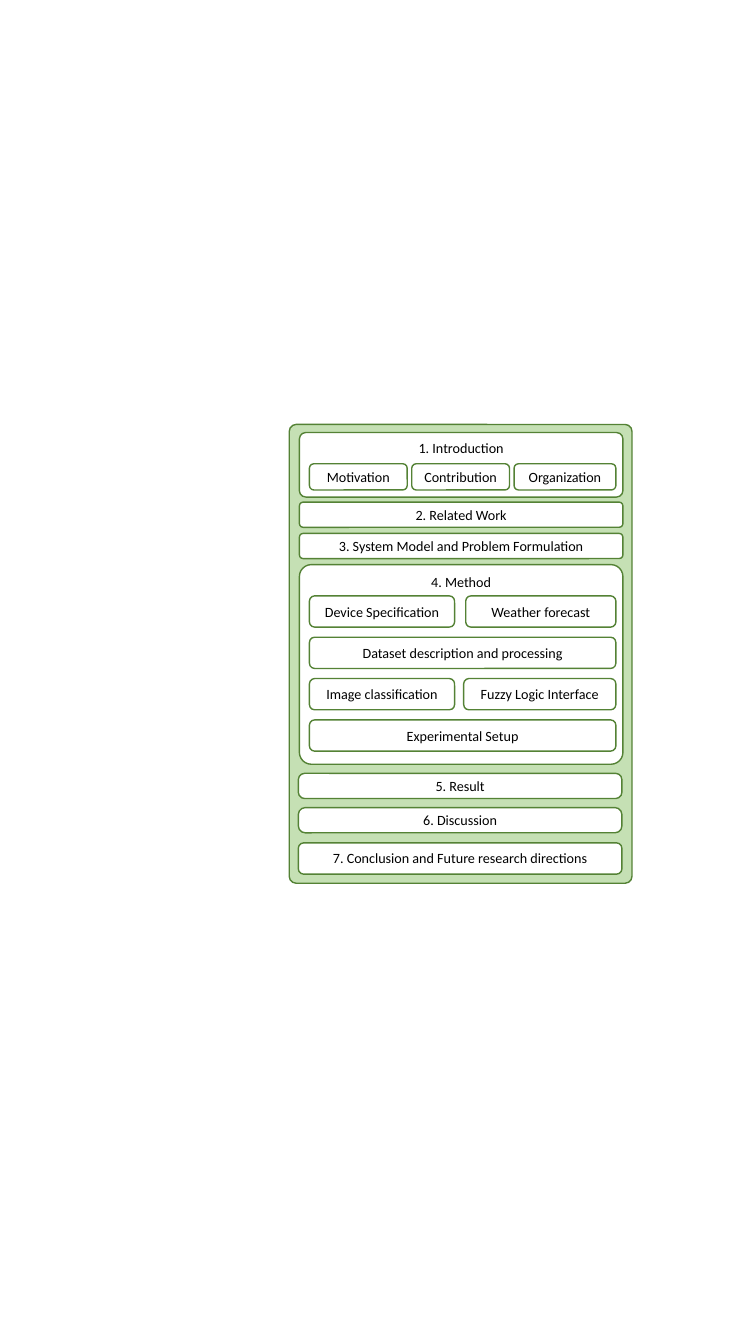
from dataclasses import dataclass, field

from pptx import Presentation, util as u
from pptx.dml.color import RGBColor
from pptx.enum import shapes, text

HEX = {"panel": "C5E0B4", "card": "FFFFFF", "edge": "548235", "ink": "000000"}
FONT, SIZE = "Calibri", 10.1

deck = Presentation()
deck.slide_width, deck.slide_height = u.Inches(7.5), u.Inches(13.33)
slide = deck.slides.add_slide(deck.slide_layouts[6])

# Grid: 750 columns by 1333 rows
COL, ROW = deck.slide_width / 750, deck.slide_height / 1333
LEFT, SPAN = 307, 304  # topics inside a section
ROUND = 0.167


@dataclass
class Topics:
    """Rows of topic boxes, each row given as its labels and widths."""
    top: int
    high: int
    rows: list[list[tuple[str, int]]]
    pitch: int = 0


@dataclass
class Section:
    label: str
    top: int
    high: int
    curve: float
    left: int = 297
    anchor: str = "MIDDLE"
    topics: list[Topics] = field(default_factory=list)


def write(shape, words: str, *, anchor: str = "MIDDLE", size: float = SIZE,
          font: str = FONT, ink: str = "ink") -> None:
    frame = shape.text_frame
    frame.word_wrap = True
    frame.vertical_anchor = text.MSO_ANCHOR[anchor]
    line = frame.paragraphs[0]
    line.alignment = text.PP_ALIGN.CENTER
    run = line.add_run()
    run.text = words
    run.font.name, run.font.size = font, u.Pt(size)
    run.font.color.rgb = RGBColor.from_string(HEX[ink])


def box(left: float, top: float, wide: float, high: float,
        curve: float = ROUND, fill: str = "card"):
    shape = slide.shapes.add_shape(
        shapes.MSO_SHAPE.ROUNDED_RECTANGLE, u.Emu(round(left * COL)),
        u.Emu(round(top * ROW)), u.Emu(round(wide * COL)), u.Emu(round(high * ROW)))
    shape.adjustments[0] = curve
    shape.shadow.inherit = False
    shape.fill.solid()
    shape.fill.fore_color.rgb = RGBColor.from_string(HEX[fill])
    shape.line.color.rgb = RGBColor.from_string(HEX["edge"])
    shape.line.width = u.Pt(1)
    return shape


def spread(group: Topics) -> None:
    """Set each row flush on both sides, with equal gaps."""
    for i, row in enumerate(group.rows):
        gap = (SPAN - sum(wide for _, wide in row)) / max(len(row) - 1, 1)
        left = LEFT
        for label, wide in row:
            write(box(left, group.top + i * group.pitch, wide, group.high), label)
            left += wide + gap


def draw(part: Section) -> None:
    card = box(part.left, part.top, 321, part.high, part.curve)
    write(card, part.label, anchor=part.anchor)
    for group in part.topics:
        spread(group)


# Contents of the paper
INTRO = Topics(460, 26, [
    [("Motivation", 97), ("Contribution", 97), ("Organization", 101)]])
METHOD = Topics(591, 31, [
    [("Device Specification", 144), ("Weather forecast", 149)],
    [("Dataset description and processing", SPAN)],
    [("Image classification", 144), ("Fuzzy Logic Interface", 151)],
    [("Experimental Setup", SPAN)]], pitch=41)
PARTS = [
    Section("1. Introduction", 429, 64, 0.1, anchor="TOP", topics=[INTRO]),
    Section("2. Related Work", 498, 25, 0.15),
    Section("3. System Model and Problem Formulation", 529, 25, 0.15),
    Section("4. Method", 560, 198, 0.06, anchor="TOP", topics=[METHOD]),
    Section("5. Result", 767, 25, 0.25, left=296),
    Section("6. Discussion", 801, 25, 0.27, left=296),
    Section("7. Conclusion and Future research directions", 836, 31, ROUND,
            left=296, anchor="TOP"),
]

# Panel, then the sections on it
box(287, 421, 340, 455, 0.02, "panel")
for part in PARTS:
    draw(part)

deck.save("out.pptx")
